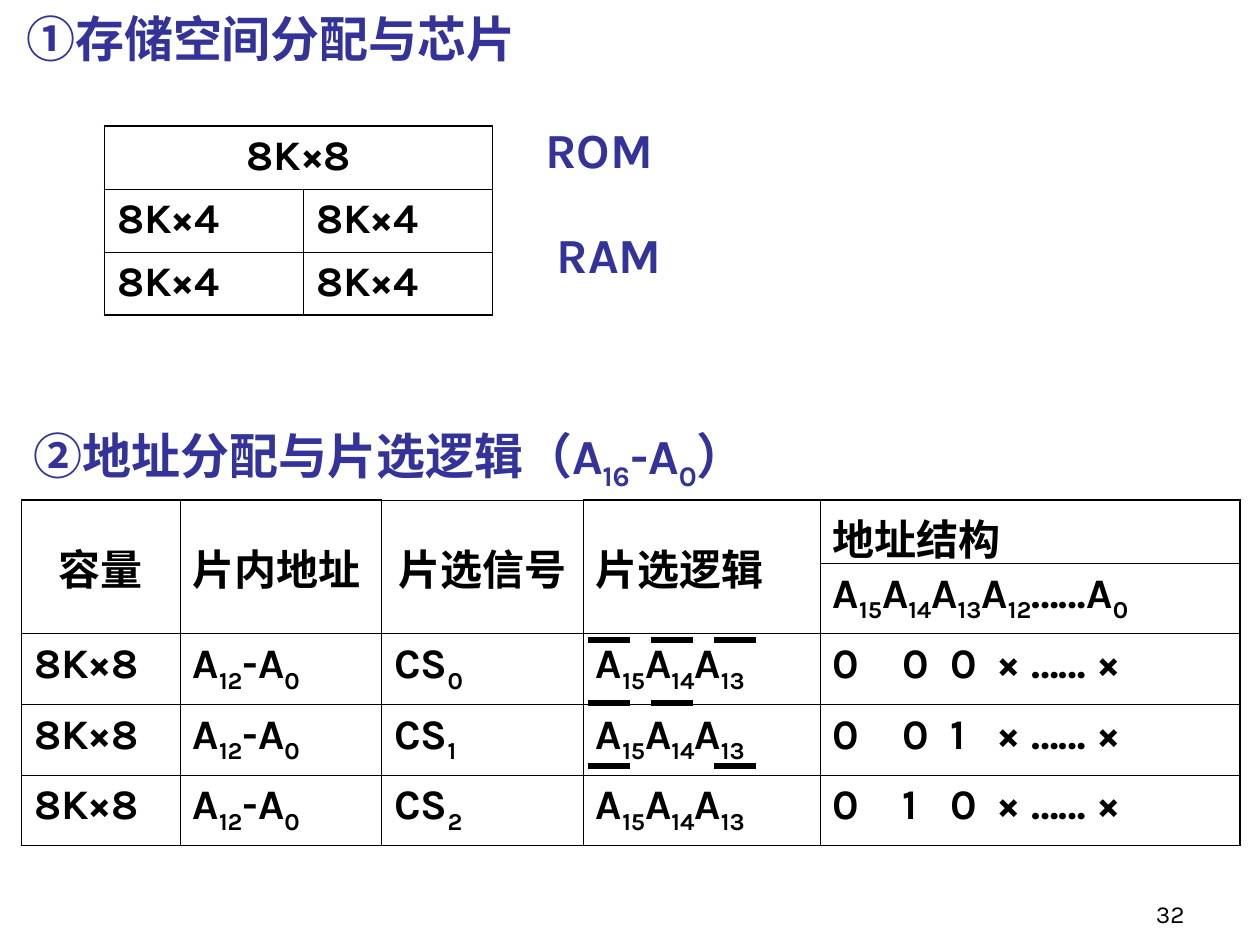
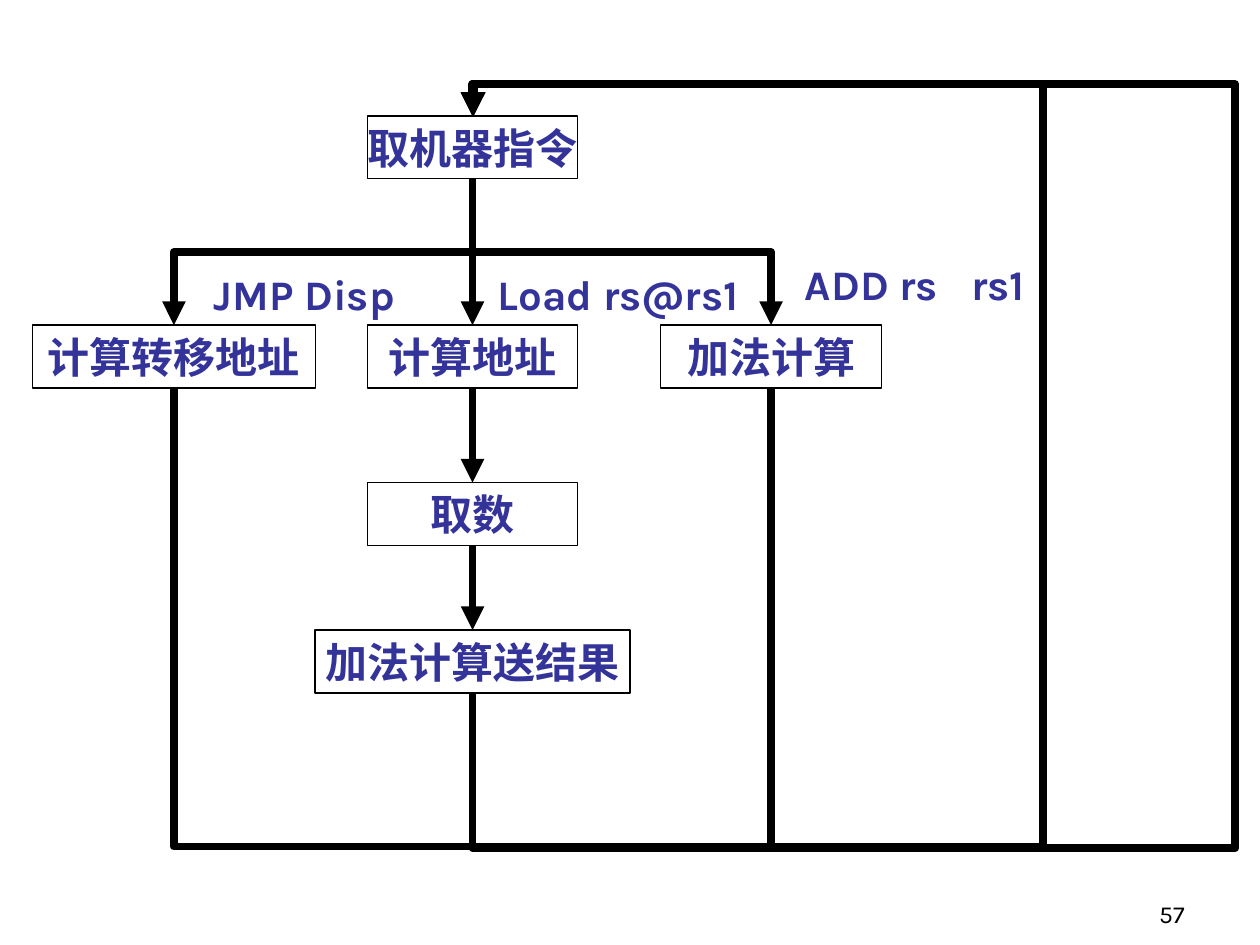
"""Build two slides: memory address allocation and an instruction flow chart."""
from dataclasses import dataclass
from typing import Optional

from lxml.etree import SubElement
from pptx import Presentation
from pptx.dml.color import RGBColor
from pptx.enum.shapes import MSO_CONNECTOR as Link, MSO_SHAPE as Preset
from pptx.enum.text import MSO_ANCHOR as Anchor, PP_ALIGN as Align
from pptx.oxml.ns import qn
from pptx.util import Inches, Pt

COLORS = {"ink": "000000", "accent": "333399"}
FONT = "Karla"
TOP, BOTTOM = 0, 2
THICK, THIN = 1.08, 0.45
ROW_HEIGHT = 0.5
CHIP_SELECT_BITS = ("000", "001", "010")


@dataclass
class Label:
    text: str
    left: float
    top: float
    width: float
    height: float = 0.5
    size: int = 24
    color: str = "accent"
    bold: bool = True
    tabs: tuple = ()


@dataclass
class Step:
    text: str
    center: float
    top: float
    width: float


@dataclass
class Route:
    start: str
    end: str
    lanes: tuple


@dataclass
class Grid:
    left: float
    top: float
    columns: tuple
    rows: tuple
    cells: list
    merges: tuple
    middle_rows: int = 0
    centered: tuple = ()
    thin_top: Optional[int] = None
    tabs: tuple = ()


def rgb(name: str) -> RGBColor:
    """Look up a palette colour."""
    return RGBColor.from_string(COLORS[name])


def write(para, text: str, size: int, color: str, bold: bool = True, tabs: tuple = ()) -> None:
    """Fill a paragraph, setting bracketed parts as subscripts."""
    if tabs and "\t" in text:
        tab_list = SubElement(para._p.get_or_add_pPr(), qn("a:tabLst"))
        for position in tabs:
            SubElement(tab_list, qn("a:tab"), pos=str(Inches(position)), algn="l")
    for index, part in enumerate(text.replace("]", "[").split("[")):
        if not part:
            continue
        span = para.add_run()
        span.text = part
        span.font.name, span.font.size, span.font.bold = FONT, Pt(size), bold
        span.font.color.rgb = rgb(color)
        if index % 2:
            span.font._element.set("baseline", "-25000")


def add_label(page, label: Label):
    """Add an unwrapped text box."""
    box = page.shapes.add_textbox(*map(Inches, (label.left, label.top, label.width, label.height)))
    box.text_frame.word_wrap = False
    write(box.text_frame.paragraphs[0], label.text, label.size, label.color, label.bold, label.tabs)
    return box


def add_page(deck, number: int):
    """Add a blank slide with its page number."""
    page = deck.slides.add_slide(deck.slide_layouts[6])
    box = add_label(page, Label(str(number), 7.42, 6.92, 2.08, size=14, color="ink", bold=False))
    box.text_frame.word_wrap = True
    box.text_frame.vertical_anchor = Anchor.BOTTOM
    box.text_frame.paragraphs[0].alignment = Align.RIGHT
    return page


def set_borders(cell, widths: dict) -> None:
    """Draw the four cell borders in points."""
    props = cell._tc.get_or_add_tcPr()
    for position, (side, width) in enumerate(widths.items()):
        line = SubElement(props, qn(f"a:ln{side}"), w=str(Pt(width)))
        fill = SubElement(line, qn("a:solidFill"))
        SubElement(fill, qn("a:srgbClr"), val=COLORS["ink"])
        props.insert(position, line)


def add_grid(page, grid: Grid) -> None:
    """Add a table with a thick frame and thin inner lines."""
    height, width = len(grid.rows), len(grid.columns)
    frame = page.shapes.add_table(height, width, *map(
        Inches, (grid.left, grid.top, sum(grid.columns), sum(grid.rows))))
    table = frame.table
    table.first_row = table.horz_banding = False
    for column, size in zip(table.columns, grid.columns):
        column.width = Inches(size)
    for row, size in zip(table.rows, grid.rows):
        row.height = Inches(size)
    for first, last in grid.merges:
        table.cell(*first).merge(table.cell(*last))
    for y, texts in enumerate(grid.cells):
        for x, text in enumerate(texts):
            cell = table.cell(y, x)
            cell.fill.background()
            set_borders(cell, {
                "L": THICK if x == 0 else THIN,
                "R": THICK if x == width - 1 else THIN,
                "T": THICK if y == 0 and x != grid.thin_top else THIN,
                "B": THICK if y == height - 1 else THIN,
            })
            if not text:
                continue
            if y < grid.middle_rows and x < width - 1:
                cell.vertical_anchor = Anchor.MIDDLE
            para = cell.text_frame.paragraphs[0]
            if (y, x) in grid.centered:
                para.alignment = Align.CENTER
            write(para, text, 24, "ink", tabs=grid.tabs)


def style_line(line, width: float, arrow: bool = False) -> None:
    """Colour a connector, drop its shadow and add an arrowhead."""
    line.line.color.rgb = rgb("ink")
    line.line.width = Pt(width)
    if arrow:
        SubElement(line.line._get_or_add_ln(), qn("a:tailEnd"), type="triangle")
    SubElement(line.element.spPr, qn("a:effectLst"))


def add_step(page, step: Step):
    """Add an outlined process box."""
    box = page.shapes.add_shape(Preset.RECTANGLE, *map(
        Inches, (step.center - step.width / 2, step.top, step.width, ROW_HEIGHT)))
    box.shadow.inherit = False
    box.fill.background()
    box.line.color.rgb = rgb("ink")
    box.line.width = Pt(0.75)
    box.text_frame.word_wrap = False
    box.text_frame.vertical_anchor = Anchor.MIDDLE
    para = box.text_frame.paragraphs[0]
    para.alignment = Align.CENTER
    write(para, step.text, 24, "accent")
    return box


def join(page, kind, start, end):
    """Connect the bottom of one box to the top of another."""
    line = page.shapes.add_connector(kind, 0, 0, 0, 0)
    line.begin_connect(start, BOTTOM)
    line.end_connect(end, TOP)
    style_line(line, 4.5, arrow=True)
    return line


def add_route(page, start, end, lanes: tuple) -> None:
    """Add an elbow that follows alternate horizontal and vertical lanes."""
    line = join(page, Link.ELBOW, start, end)
    x, y = line.begin_x, line.begin_y
    run, drop = line.end_x - x, line.end_y - y
    run = run or Inches(0.01)
    line.width, line.height = abs(drop), abs(run)
    line.left = int(x + (run - abs(drop)) / 2)
    line.top = int(y + (drop - abs(run)) / 2)
    xfrm = line.element.spPr.find(qn("a:xfrm"))
    xfrm.set("rot", "5400000")
    xfrm.set("flipH", str(int(drop < 0)))
    xfrm.set("flipV", str(int(run > 0)))
    geometry = line.element.spPr.find(qn("a:prstGeom"))
    geometry.set("prst", f"bentConnector{len(lanes) + 2}")
    guides = geometry.find(qn("a:avLst"))
    for index, lane in enumerate(lanes):
        origin, extent = (x, run) if index % 2 else (y, drop)
        ratio = round((Inches(lane) - origin) / extent * 100000)
        SubElement(guides, qn("a:gd"), name=f"adj{index + 1}", fmla=f"val {ratio}")


def build_memory(deck) -> None:
    """Build the memory allocation slide."""
    page = add_page(deck, 32)
    add_grid(page, Grid(
        0.83, 1, (1.58, 1.5), (ROW_HEIGHT,) * 3,
        [["8K×8", ""]] + [["8K×4", "8K×4"]] * 2,
        merges=(((0, 0), (0, 1)),), centered=((0, 0),)))
    heads = ["容量", "片内地址", "片选信号", "片选逻辑"]
    cells = [heads + ["地址结构"], [""] * 4 + ["A[15]A[14]A[13]A[12]……A[0]"]]
    for index, bits in enumerate(CHIP_SELECT_BITS):
        cells.append(["8K×8", "A[12]-A[0]", f"CS[{index}]", "A[15]A[14]A[13]",
                      "\t".join(bits) + "\t× …… ×"])
    add_grid(page, Grid(
        0.17, 3.97, (1.26, 1.6, 1.6, 1.88, 3.33), (ROW_HEIGHT,) + (0.56,) * 4, cells,
        merges=tuple(((0, x), (1, x)) for x in range(len(heads))),
        middle_rows=2, centered=((0, 0), (0, 2)), thin_top=2, tabs=(0.55, 0.93, 1.31)))
    for label in (
        Label("①存储空间分配与芯片", 0.11, 0.02, 4.08, 0.57, 28),
        Label("②地址分配与片选逻辑（A[16]-A[0]）", 0.17, 3.33, 6.09, 0.63, 28),
        Label("ROM", 4.23, 0.9, 1.13, 0.57, 28),
        Label("RAM", 4.32, 1.73, 1.09, 0.57, 28),
    ):
        add_label(page, label)
    for row, bits in enumerate(CHIP_SELECT_BITS):
        for column, bit in enumerate(bits):
            if bit == "0":
                left, top = 4.67 + 0.5 * column, 5.08 + 0.5 * row
                bar = page.shapes.add_connector(
                    Link.STRAIGHT, *map(Inches, (left, top, left + 0.33, top)))
                style_line(bar, 3)


def build_flow(deck) -> None:
    """Build the instruction flow slide."""
    page = add_page(deck, 57)
    steps = {
        "fetch": Step("取机器指令", 3.75, 0.92, 1.67),
        "jump": Step("计算转移地址", 1.38, 2.58, 2.25),
        "address": Step("计算地址", 3.75, 2.58, 1.67),
        "add": Step("加法计算", 6.12, 2.58, 1.75),
        "read": Step("取数", 3.75, 3.83, 1.67),
        "store": Step("加法计算送结果", 3.75, 5, 2.5),
    }
    boxes = {name: add_step(page, step) for name, step in steps.items()}
    chain = ("fetch", "address", "read", "store")
    for start, end in zip(chain, chain[1:]):
        join(page, Link.STRAIGHT, boxes[start], boxes[end])
    for route in (
        Route("fetch", "jump", (2,)),
        Route("fetch", "add", (2,)),
        Route("jump", "fetch", (6.72, 8.28, 0.67)),
        Route("store", "fetch", (6.73, 9.9, 0.67)),
        Route("add", "fetch", (6.72, 8.28, 0.67)),
    ):
        add_route(page, boxes[route.start], boxes[route.end], route.lanes)
    for label in (
        Label("JMP Disp", 1.6, 2.08, 1.64),
        Label("Load rs@rs1", 3.85, 2.08, 2.21),
        Label("ADD rs\trs1", 6.29, 2, 2.09, tabs=(1.32,)),
    ):
        add_label(page, label)


def main() -> None:
    """Create and save the deck."""
    deck = Presentation()
    deck.slide_width, deck.slide_height = Inches(10), Inches(7.5)
    build_memory(deck)
    build_flow(deck)
    deck.save("out.pptx")


if __name__ == "__main__":
    main()
